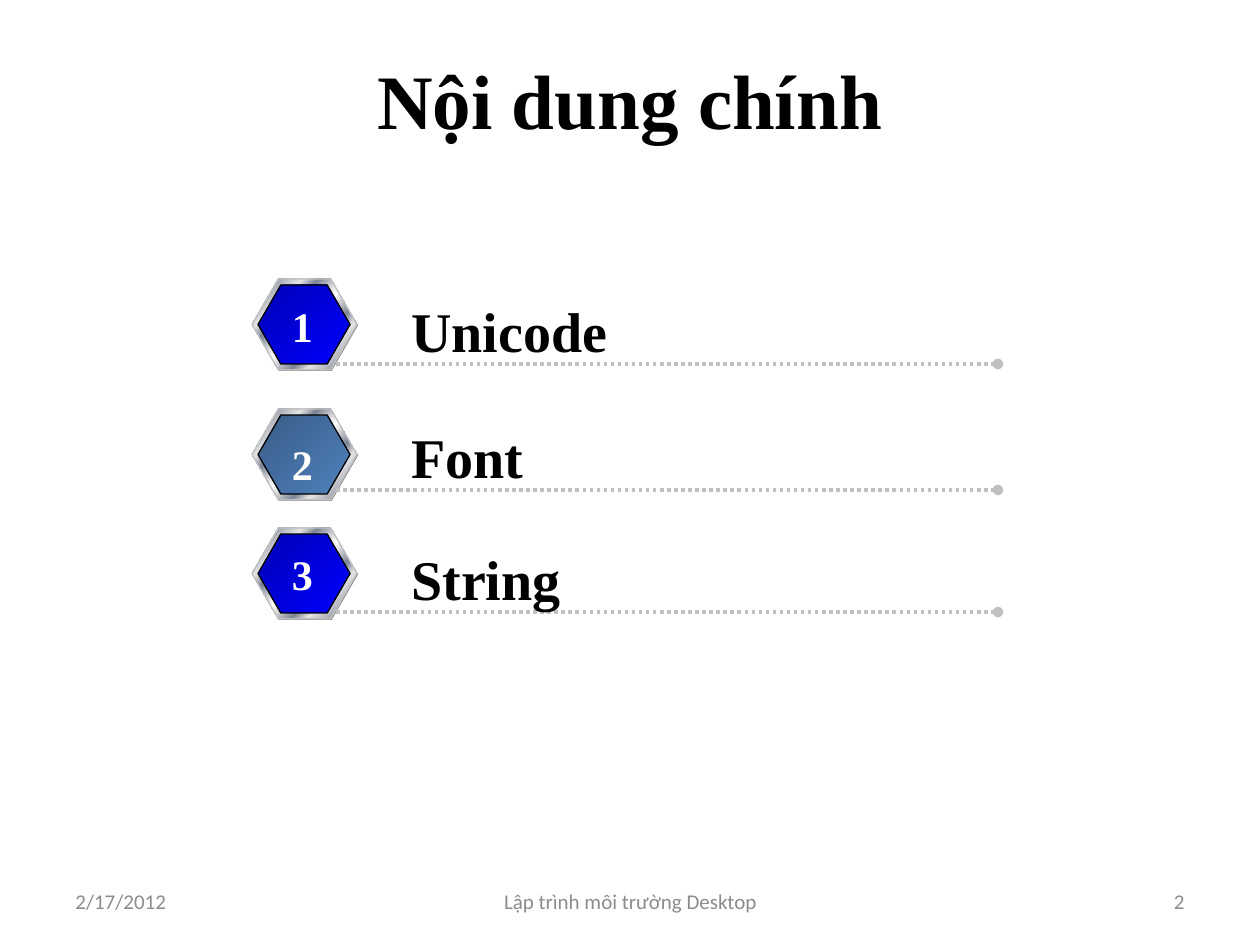
"""Build the contents slide: a title, three numbered topics and a footer."""
from lxml.etree import SubElement
from pptx import Presentation
from pptx.dml.color import RGBColor
from pptx.enum.dml import MSO_LINE
from pptx.enum.shapes import MSO_CONNECTOR, MSO_SHAPE
from pptx.enum.text import MSO_ANCHOR, MSO_AUTO_SIZE, PP_ALIGN
from pptx.oxml.ns import qn
from pptx.util import Emu, Pt

THEME = {
    "serif": "Times New Roman", "sans": "Calibri",
    "title": 44, "topic": 32, "digit": 24, "footer": 12,
    "ink": "000000", "white": "FFFFFF", "footer_ink": "8C8C8C",
    "shade": "808080", "silver": "C0C0C0",
    "metal": [(0, "E6E6E6"), (7, "7D8496"), (26, "E6E6E6"), (34, "7D8496"),
              (46, "E6E6E6"), (50, "FFFFFF"), (54, "E6E6E6"), (66, "7D8496"),
              (74, "E6E6E6"), (93, "7D8496"), (100, "E6E6E6")],
    "blue": [(0, "0000B6"), (100, "0000FF")],
    "steel": [(0, "395C87"), (100, "4F81BD")],
}
PX = 914400 / 126


def add_text(area, text, size, font, color, align=PP_ALIGN.LEFT, bold=True, fit=False):
    """Add one line of text; a fitted box hugs it, any other centres it vertically."""
    box = page.shapes.add_textbox(*[Emu(round(n * PX)) for n in area])
    frame = box.text_frame
    frame.text = text
    frame.word_wrap = not fit
    if fit:
        frame.auto_size = MSO_AUTO_SIZE.SHAPE_TO_FIT_TEXT
    else:
        frame.vertical_anchor = MSO_ANCHOR.MIDDLE
    paragraph = frame.paragraphs[0]
    paragraph.alignment = align
    span = paragraph.runs[0]
    span.font.name, span.font.size, span.font.bold = font, Pt(THEME[size]), bold
    span.font.color.rgb = RGBColor.from_string(THEME[color])


def add_hexagon(group, area, fill, line=None):
    """Add a hexagon filled with one colour or a diagonal gradient."""
    hexagon = group.shapes.add_shape(MSO_SHAPE.HEXAGON, *[Emu(round(n * PX)) for n in area])
    hexagon.shadow.inherit = False
    hexagon.adjustments[0] = 0.289
    if isinstance(THEME[fill], str):
        hexagon.fill.solid()
        hexagon.fill.fore_color.rgb = RGBColor.from_string(THEME[fill])
    else:
        hexagon.fill.gradient()
        hexagon.fill.gradient_angle = 315
        stops = next(hexagon._element.spPr.iter(qn("a:gsLst")))
        stops.clear()
        for position, color in THEME[fill]:
            stop = SubElement(stops, qn("a:gs"), pos=str(position * 1000))
            SubElement(stop, qn("a:srgbClr"), val=color)
    if line:
        hexagon.line.color.rgb = RGBColor.from_string(THEME[line])
        hexagon.line.width = Pt(0.75)
    else:
        hexagon.line.fill.background()


deck = Presentation()
deck.slide_width, deck.slide_height = Emu(round(1260 * PX)), Emu(round(945 * PX))
page = deck.slides.add_slide(deck.slide_layouts[6])

add_text((63, 20, 1134, 158), "Nội dung chính", "title", THEME["serif"], "ink", PP_ALIGN.CENTER)

for left, width, text, align in [
    (63, 294, "2/17/2012", PP_ALIGN.LEFT),
    (431, 399, "Lập trình môi trường Desktop", PP_ALIGN.CENTER),
    (903, 294, "2", PP_ALIGN.RIGHT),
]:
    add_text((left, 876, width, 50), text, "footer", THEME["sans"], "footer_ink", align, bold=False)

topics = [
    ("Unicode", "blue", 279, 364, 294, 223),
    ("Font", "steel", 409, 490, 432, 139),
    ("String", "blue", 528, 612, 542, 176),
]
for number, (topic, face, badge_top, line_y, digit_top, width) in enumerate(topics, 1):
    badge = page.shapes.add_group_shape()
    add_hexagon(badge, (253, badge_top + 1, 105, 91), "shade")
    add_hexagon(badge, (252, badge_top, 105, 91), "metal", "silver")
    add_hexagon(badge, (258, badge_top + 6, 92, 79), face, "ink")

    rule = page.shapes.add_connector(
        MSO_CONNECTOR.STRAIGHT, *[Emu(round(n * PX)) for n in (336, line_y, 998, line_y)])
    rule.line.color.rgb = RGBColor.from_string(THEME["silver"])
    rule.line.width = Pt(2)
    rule.line.dash_style = MSO_LINE.ROUND_DOT
    SubElement(rule.line._get_or_add_ln(), qn("a:tailEnd"), type="oval")
    SubElement(rule._element.spPr, qn("a:effectLst"))

    add_text((399, line_y - 74, width, 81), topic, "topic", THEME["serif"], "ink", fit=True)
    add_text((279, digit_top, 47, 63), str(number), "digit", THEME["serif"], "white",
             PP_ALIGN.CENTER, fit=True)

deck.save("out.pptx")
